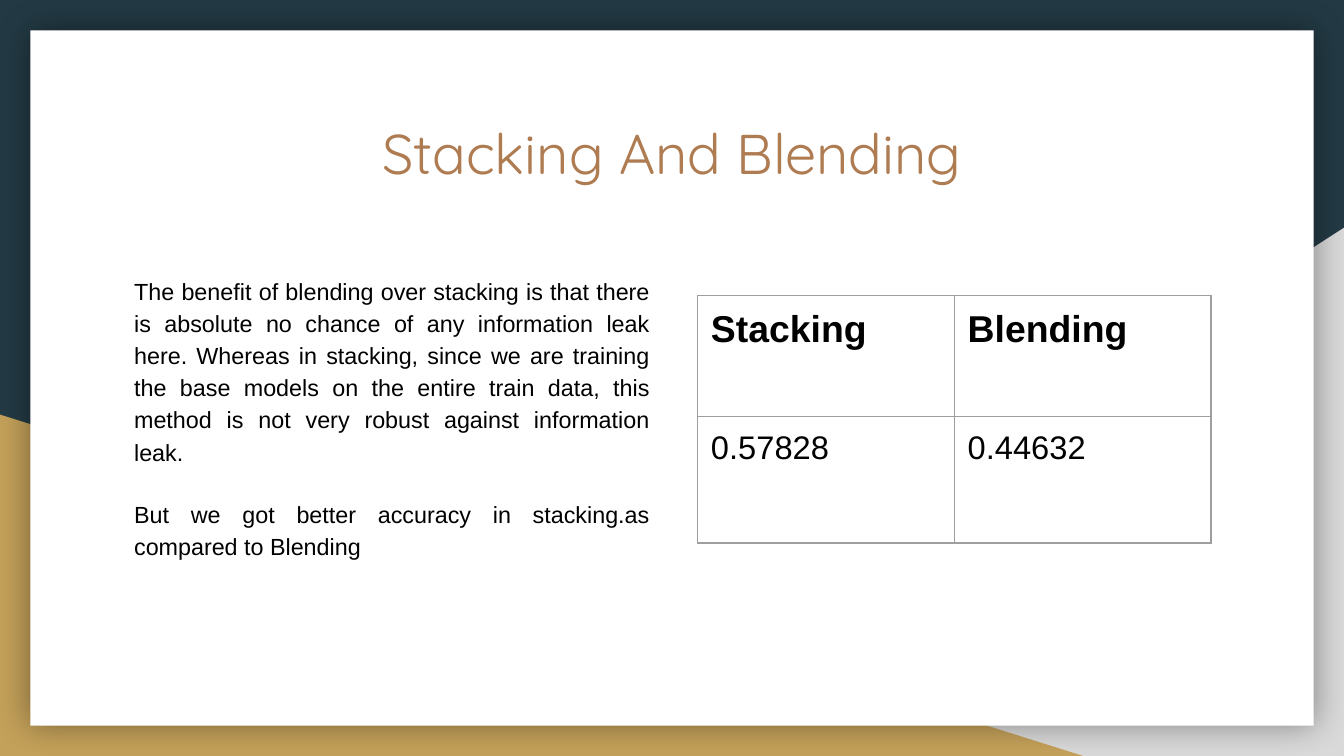
from lxml import etree
from pptx import Presentation
from pptx.dml.color import RGBColor
from pptx.enum.shapes import MSO_SHAPE
from pptx.enum.text import MSO_ANCHOR, PP_ALIGN
from pptx.oxml.ns import qn
from pptx.util import Inches, Pt

RECTANGLE = MSO_SHAPE.RECTANGLE
RIGHT_TRIANGLE = MSO_SHAPE.RIGHT_TRIANGLE
TOP = MSO_ANCHOR.TOP
LEFT, CENTER, JUSTIFY = PP_ALIGN.LEFT, PP_ALIGN.CENTER, PP_ALIGN.JUSTIFY

NAVY = RGBColor(0x23, 0x3A, 0x44)
GRAY = RGBColor(0xD9, 0xD9, 0xD9)
GOLD = RGBColor(0xC4, 0xA1, 0x5A)
WHITE = RGBColor(0xFF, 0xFF, 0xFF)
BROWN = RGBColor(0xAF, 0x7B, 0x51)
BLACK = RGBColor(0x00, 0x00, 0x00)
BORDER = RGBColor(0x9E, 0x9E, 0x9E)

COLUMNS, ROWS = 100, 56.25
STEP = Inches(0.1)
MARGIN_COLUMN = 9
BODY = [
    "The benefit of blending over stacking is that there is absolute no chance of any "
    "information leak here. Whereas in stacking, since we are training the base models on "
    "the entire train data, this method is not very robust against information leak.",
    "But we got better accuracy in stacking.as compared to Blending",
]
SCORES = [["Stacking", "Blending"], ["0.57828", "0.44632"]]


def grid(*steps):
    """Turn counts of grid steps into lengths."""
    return [int(step * STEP) for step in steps]


def add_child(parent, tag, **attributes):
    names = {name: str(value) for name, value in attributes.items()}
    return etree.SubElement(parent, qn(tag), names)


class SlideBuilder:
    """Holds the slide and its style; boxes are (column, row, width, height) in grid steps."""

    heading_font = "Quicksand"
    body_font = "Arial"
    inset = STEP

    def __init__(self, slide, background):
        self.slide = slide
        slide.background.fill.solid()
        slide.background.fill.fore_color.rgb = background

    def shape(self, kind, box, color, flipped=False):
        shape = self.slide.shapes.add_shape(kind, *grid(*box))
        shape.shadow.inherit = False
        shape.fill.solid()
        shape.fill.fore_color.rgb = color
        shape.line.fill.background()
        if flipped:
            shape._element.spPr.xfrm.set("flipH", "1")
        return shape

    def card(self, box, color, blur, opacity):
        """Add a panel with a soft shadow on all sides."""
        shape = self.shape(RECTANGLE, box, color)
        effects = shape._element.spPr.find(qn("a:effectLst"))
        shadow = add_child(effects, "a:outerShdw", blurRad=Pt(blur), dist=0, dir=0,
                           algn="ctr", rotWithShape=0)
        shadow_color = add_child(shadow, "a:srgbClr", val=BLACK)
        add_child(shadow_color, "a:alpha", val=opacity * 1000)

    def format(self, paragraph, font_name, size, color, align, bold=False):
        paragraph.alignment = align
        for run in paragraph.runs:
            run.font.name = font_name
            run.font.size = Pt(size)
            run.font.bold = bold
            run.font.color.rgb = color

    def set_margins(self, holder):
        holder.margin_left = holder.margin_right = self.inset
        holder.margin_top = holder.margin_bottom = self.inset

    def text(self, box, paragraphs, font_name, size, color, align, line_spacing=1.0, gap=0):
        text_frame = self.slide.shapes.add_textbox(*grid(*box)).text_frame
        text_frame.word_wrap = True
        text_frame.vertical_anchor = TOP
        self.set_margins(text_frame)
        text_frame.text = "\n".join(paragraphs)
        for index, paragraph in enumerate(text_frame.paragraphs):
            self.format(paragraph, font_name, size, color, align)
            paragraph.line_spacing = line_spacing
            paragraph.space_before = Pt(gap if index else 0)

    def table(self, corner, values, column_width, row_heights, header_size, value_size):
        size = column_width * len(values[0]), sum(row_heights)
        table = self.slide.shapes.add_table(
            len(values), len(values[0]), *grid(*corner, *size)).table
        table.first_row = table.horz_banding = False
        for column in table.columns:
            column.width = grid(column_width)[0]
        for row_index, (row, height) in enumerate(zip(table.rows, row_heights)):
            row.height = grid(height)[0]
            is_header = row_index == 0
            for cell, value in zip(row.cells, values[row_index]):
                cell.text_frame.text = value
                self.set_margins(cell)
                cell.vertical_anchor = TOP
                self.format(cell.text_frame.paragraphs[0], self.body_font,
                            header_size if is_header else value_size, BLACK, LEFT, is_header)
                self.border(cell, BORDER, 0.75)
                cell.fill.background()

    def border(self, cell, color, width):
        properties = cell._tc.get_or_add_tcPr()
        for side in ("a:lnL", "a:lnR", "a:lnT", "a:lnB"):
            line = add_child(properties, side, w=Pt(width))
            fill = add_child(line, "a:solidFill")
            add_child(fill, "a:srgbClr", val=color)


def main():
    presentation = Presentation()
    presentation.slide_width, presentation.slide_height = grid(COLUMNS, ROWS)
    blank_layout = presentation.slide_layouts[6]
    builder = SlideBuilder(presentation.slides.add_slide(blank_layout), NAVY)

    gray_width, gray_height = 60.8, 39.3
    builder.shape(RIGHT_TRIANGLE, (COLUMNS - gray_width, ROWS - gray_height,
                                   gray_width, gray_height), GRAY, flipped=True)
    gold_height = 25.4
    builder.shape(RIGHT_TRIANGLE, (0, ROWS - gold_height, 80.6, gold_height), GOLD)
    card_margin = 2.25
    builder.card((card_margin, card_margin, COLUMNS - 2 * card_margin,
                  ROWS - 2 * card_margin), WHITE, blur=18, opacity=40)

    builder.text((MARGIN_COLUMN, 7.8, COLUMNS - 2 * MARGIN_COLUMN, 10.4),
                 ["Stacking And Blending"], builder.heading_font, 30, BROWN, CENTER)
    builder.text((MARGIN_COLUMN, 19.3, 40.3, 30), BODY, builder.body_font, 12.5, BLACK,
                 JUSTIFY, line_spacing=1.15, gap=16)
    builder.table((51.9, 22), SCORES, column_width=19.1, row_heights=(9, 9.4),
                  header_size=20, value_size=17.5)

    presentation.save("out.pptx")


if __name__ == "__main__":
    main()
